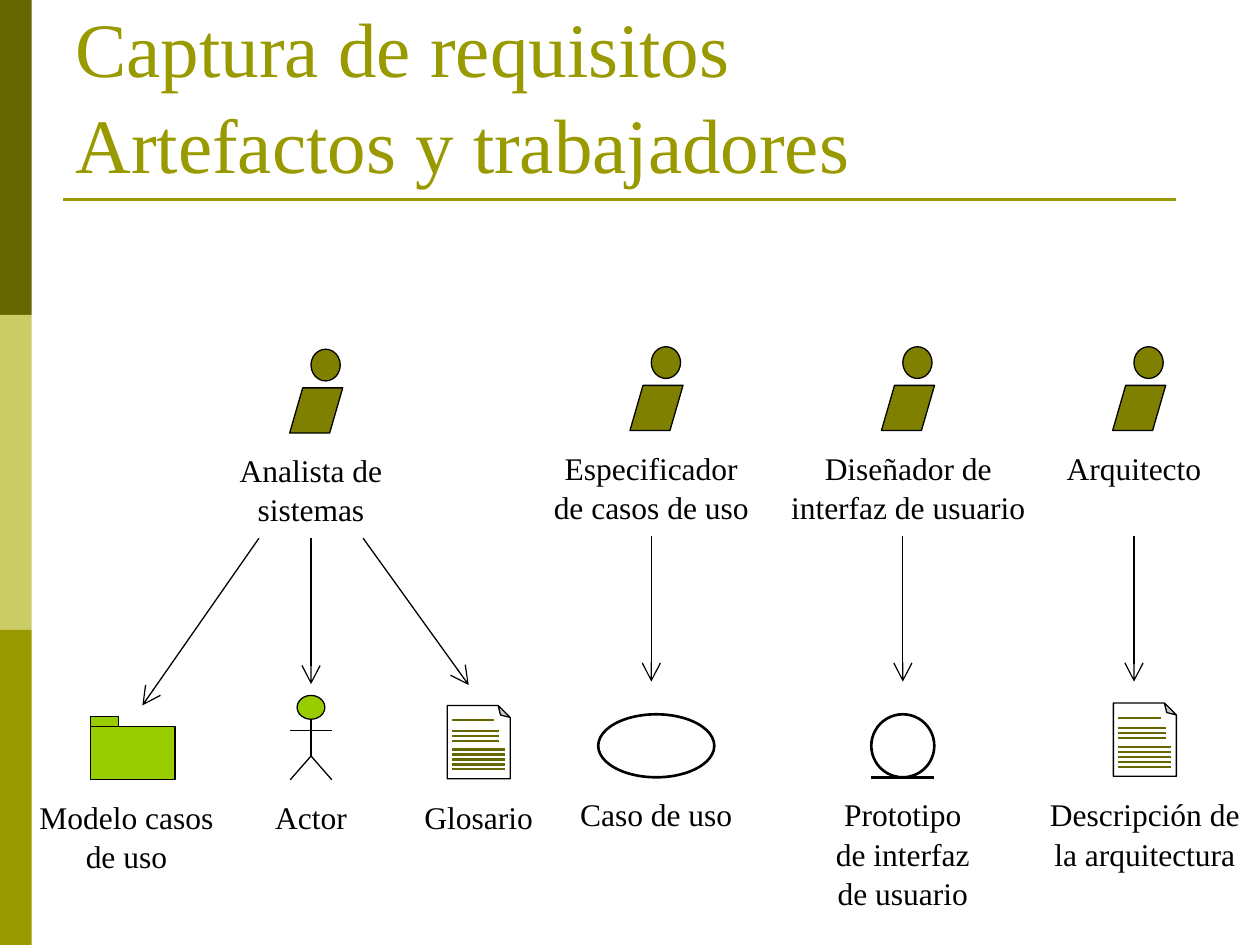
from lxml import etree
from pptx import Presentation
from pptx import util as u
from pptx.dml.color import RGBColor
from pptx.enum import shapes, text
from pptx.oxml import ns

FONT = "Times New Roman"
BLACK, WHITE, OLIVE, DARK, LIME = "000000", "FFFFFF", "999900", "666600", "99CC00"
PERSON = "808000"
KIND = shapes.MSO_SHAPE

# Content: lengths in cm; label = (text, centre x, width, number of lines)
TITLE = "Captura de requisitos\vArtefactos y trabajadores"
SIDE_BARS = [DARK, "CCCC66", OLIVE]
GROUPS = [
    {"worker": ("Analista de sistemas", 6.27, 3.38, 2), "x": 6.27, "drop": 0.05,
     "arrows": [(0, 6.27, 13.74), (-1.05, 2.87, 14.17), (1.05, 9.45, 13.76)],
     "artefacts": [("document", 9.65, ("Glosario", 9.65, 3.38, 1)),
                   ("actor", 6.27, ("Actor", 6.27, 3.38, 1)),
                   ("folder", 2.68, ("Modelo casos de uso", 2.55, 4.45, 2))]},
    {"worker": ("Especificador de casos de uso", 13.13, 4.65, 2), "x": 13.13, "drop": 0,
     "arrows": [(0, 13.13, 13.74)],
     "artefacts": [("use case", 13.23, ("Caso de uso", 13.23, 3.6, 1))]},
    {"worker": ("Arquitecto", 22.86, 3.38, 1), "x": 22.86, "drop": 0,
     "arrows": [(0, 22.86, 13.74)],
     "artefacts": [("document", 23.08, ("Descripción de la arquitectura", 23.08, 4.65, 2))]},
    {"worker": ("Diseñador de interfaz de usuario", 18.31, 5.28, 2), "x": 18.2, "drop": 0,
     "arrows": [(0, 18.2, 13.74)],
     "artefacts": [("interface", 18.2, ("Prototipo de interfaz de usuario", 18.2, 3.38, 3))]},
]
# Lines of writing on a document: (distance from its top, length)
WRITING = ([(0.3, 0.85)] + [(0.51 + 0.1 * i, 0.95) for i in range(3)]
           + [(0.89 + 0.1 * i, 1.07) for i in range(5)])

WORKER_LABEL_TOP, ARROW_TOP, ARTEFACT_LABEL_TOP = 8.89, 10.8, 15.88
DOCUMENT_TOP, ICON_BOTTOM = 14.17, 15.67


def colour(value):
    return RGBColor.from_string(value)


def add_shape(parent, kind, left, top, width, height, fill=None, line=BLACK, weight=0.75):
    shape = parent.shapes.add_shape(kind, u.Cm(left), u.Cm(top), u.Cm(width), u.Cm(height))
    shape.shadow.inherit = False
    if fill:
        shape.fill.solid()
        shape.fill.fore_color.rgb = colour(fill)
    else:
        shape.fill.background()
    if line:
        shape.line.color.rgb = colour(line)
        shape.line.width = u.Pt(weight)
    else:
        shape.line.fill.background()
    return shape


def add_line(parent, x1, y1, x2, y2, line=BLACK, weight=0.75, arrow=False):
    connector = parent.shapes.add_connector(
        shapes.MSO_CONNECTOR.STRAIGHT, u.Cm(x1), u.Cm(y1), u.Cm(x2), u.Cm(y2))
    connector.line.color.rgb = colour(line)
    connector.line.width = u.Pt(weight)
    properties = connector._element.spPr
    if arrow:
        etree.SubElement(properties.find(ns.qn("a:ln")), ns.qn("a:tailEnd"),
                         type="arrow", w="lg", len="lg")
    etree.SubElement(properties, ns.qn("a:effectLst"))


def set_adjustment(shape, value):
    geometry = shape._element.spPr.find(ns.qn("a:prstGeom"))
    for values in geometry.findall(ns.qn("a:avLst")):
        geometry.remove(values)
    values = etree.SubElement(geometry, ns.qn("a:avLst"))
    etree.SubElement(values, ns.qn("a:gd"), name="adj", fmla=f"val {value}")


def format_text(frame, size, value, alignment):
    frame.word_wrap = True
    for paragraph in frame.paragraphs:
        paragraph.alignment = alignment
        paragraph.line_spacing = 1.04
        for run in paragraph.runs:
            run.font.name = FONT
            run.font.size = u.Pt(size)
            run.font.color.rgb = colour(value)


def add_label(parent, label, top):
    wording, centre, width, lines = label
    box = parent.shapes.add_textbox(u.Cm(centre - width / 2), u.Cm(top),
                                    u.Cm(width), u.Cm(0.25 + 0.76 * lines))
    box.text_frame.text = wording
    box.text_frame.auto_size = text.MSO_AUTO_SIZE.SHAPE_TO_FIT_TEXT
    format_text(box.text_frame, 18, BLACK, text.PP_ALIGN.CENTER)


def add_worker(parent, x):
    body = add_shape(parent, KIND.PARALLELOGRAM, x - 0.43, 7.77, 1.07, 0.91, PERSON)
    set_adjustment(body, 29000)
    add_shape(parent, KIND.OVAL, x, 6.99, 0.59, 0.64, PERSON)


def add_document(parent, x):
    left = x - 0.635
    sheet = add_shape(parent, KIND.FOLDED_CORNER, left, DOCUMENT_TOP, 1.27, 1.48, WHITE)
    set_adjustment(sheet, 19000)
    sheet.rotation = 180
    sheet._element.spPr.find(ns.qn("a:xfrm")).set("flipH", "1")
    for offset, length in WRITING:
        y = DOCUMENT_TOP + offset
        add_line(parent, left + 0.1, y, left + 0.1 + length, y, DARK, 1.25)


def add_actor(parent, x):
    hip = 15.19
    add_shape(parent, KIND.OVAL, x - 0.28, 13.97, 0.56, 0.48, LIME)
    add_line(parent, x, 14.45, x, hip)
    add_line(parent, x - 0.42, 14.68, x + 0.42, 14.68)
    for side in (-0.42, 0.42):
        add_line(parent, x, hip, x + side, ICON_BOTTOM)


def add_folder(parent, x):
    add_shape(parent, KIND.RECTANGLE, x - 0.85, 14.6, 1.7, 1.07, LIME)
    add_shape(parent, KIND.RECTANGLE, x - 0.85, 14.4, 0.56, 0.2, LIME)


def add_use_case(parent, x):
    add_shape(parent, KIND.OVAL, x - 1.17, 14.4, 2.34, 1.27, weight=1.5)


def add_interface(parent, x):
    add_line(parent, x - 0.635, ICON_BOTTOM, x + 0.635, ICON_BOTTOM, weight=1.5)
    add_shape(parent, KIND.OVAL, x - 0.635, 14.4, 1.27, 1.27, weight=1.5)


ICONS = {"document": add_document, "actor": add_actor, "folder": add_folder,
         "use case": add_use_case, "interface": add_interface}


def main():
    presentation = Presentation()
    presentation.slide_width, presentation.slide_height = u.Cm(25.4), u.Cm(19.05)
    slide = presentation.slides.add_slide(presentation.slide_layouts[5])

    # Side bars and title rule
    bar_height = 19.05 / len(SIDE_BARS)
    for index, fill in enumerate(SIDE_BARS):
        add_shape(slide, KIND.RECTANGLE, 0, index * bar_height, 0.64, bar_height, fill, None)
    add_line(slide, 1.27, 4.02, 23.7, 4.02, OLIVE, 1.5)

    # Title
    title = slide.shapes.title
    title.left, title.top, title.width, title.height = map(u.Cm, (1.27, 0.76, 22.86, 3.18))
    title.text_frame.text = TITLE
    title.text_frame.auto_size = text.MSO_AUTO_SIZE.NONE
    title.text_frame.vertical_anchor = text.MSO_ANCHOR.BOTTOM
    format_text(title.text_frame, 44, OLIVE, text.PP_ALIGN.LEFT)

    # Workers with the artefacts they are responsible for
    for item in GROUPS:
        group = slide.shapes.add_group_shape()
        for icon, x, label in item["artefacts"]:
            ICONS[icon](group, x)
            add_label(group, label, ARTEFACT_LABEL_TOP)
        add_worker(group, item["x"])
        add_label(group, item["worker"], WORKER_LABEL_TOP)
        for offset, end_x, end_y in item["arrows"]:
            add_line(group, item["x"] + offset, ARROW_TOP, end_x, end_y, arrow=True)
        group.top += u.Cm(item["drop"])

    presentation.save("out.pptx")


if __name__ == "__main__":
    main()
